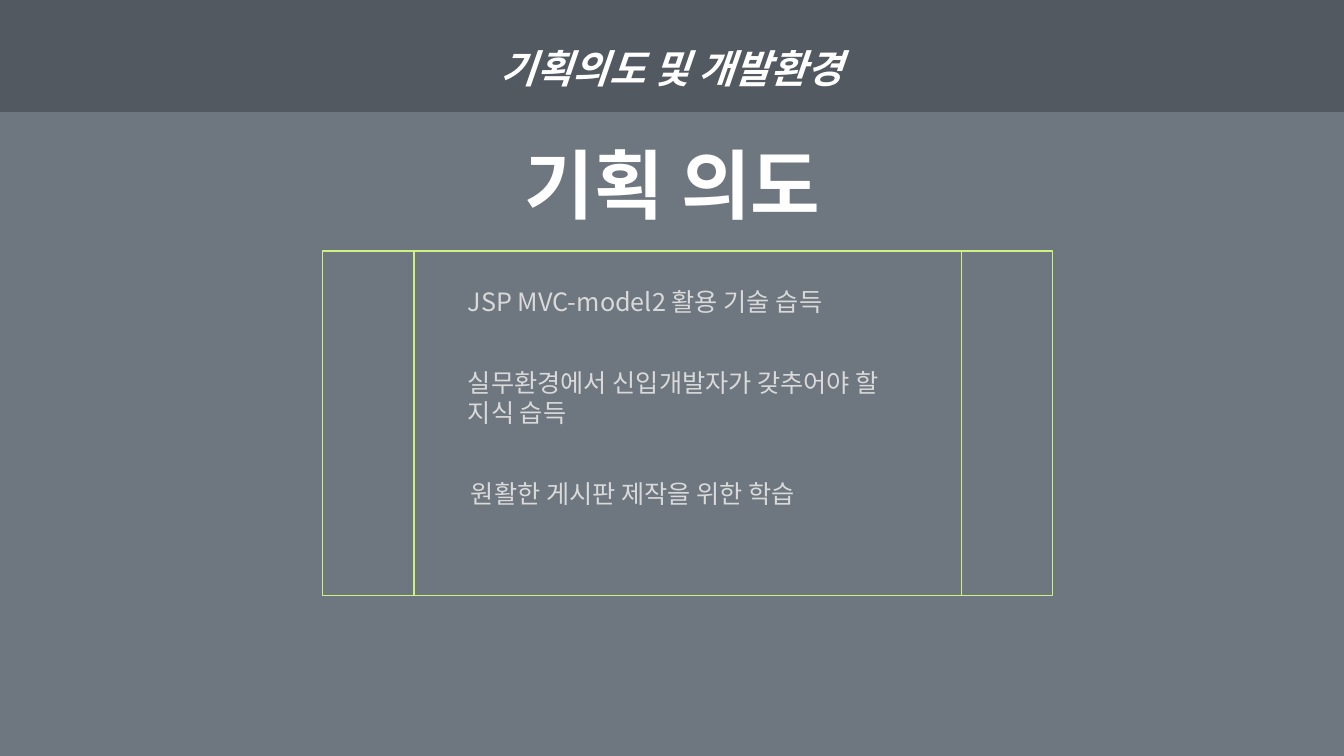
from pptx import Presentation
from pptx.dml.color import RGBColor
from pptx.enum.shapes import MSO_SHAPE
from pptx.enum.text import MSO_ANCHOR, MSO_AUTO_SIZE, PP_ALIGN
from pptx.oxml.ns import qn
from pptx.util import Inches, Pt
from lxml import etree

RECTANGLE = MSO_SHAPE.RECTANGLE
FRAME = MSO_SHAPE.FLOWCHART_PREDEFINED_PROCESS
TOP, MIDDLE = MSO_ANCHOR.TOP, MSO_ANCHOR.MIDDLE
LEFT, CENTER = PP_ALIGN.LEFT, PP_ALIGN.CENTER
NO_FIT = MSO_AUTO_SIZE.NONE

SLATE = RGBColor(0x6E, 0x76, 0x80)
DARK_SLATE = RGBColor(0x53, 0x59, 0x61)
WHITE = RGBColor(0xFF, 0xFF, 0xFF)
LIGHT_GRAY = RGBColor(0xD9, 0xD9, 0xD9)
LIME = RGBColor(0xCD, 0xF2, 0x82)
FONT = "Noto Sans CJK KR"

HEADER = "기획의도 및 개발환경"
HEADING = "기획 의도"
GOALS = [
    ("JSP MVC-model2 활용 기술 습득", 0),
    ("실무환경에서 신입개발자가 갖추어야 할 지식 습득", 0),
    ("원활한 게시판 제작을 위한 학습", 0.03),
]


def place(shape, left, top, width, height):
    shape.left, shape.top = Inches(left), Inches(top)
    shape.width, shape.height = Inches(width), Inches(height)


def style(para, size, color, align, bold=False, italic=False):
    font = para.font
    font.name, font.size = FONT, Pt(size)
    font.bold, font.italic = bold, italic
    font.color.rgb = color
    para.alignment = align
    for span in para.runs:
        span.font.name = FONT
        east_asian = etree.SubElement(span.font._element, qn("a:ea"))
        east_asian.set("typeface", FONT)


def set_frame(shape, anchor):
    frame = shape.text_frame
    frame.auto_size = NO_FIT
    frame.word_wrap = True
    frame.vertical_anchor = anchor
    return frame


def add_header(page):
    band = page.shapes.add_shape(RECTANGLE, 0, 0, Inches(13.33), Inches(1.11))
    band.shadow.inherit = False
    band.fill.solid()
    band.fill.fore_color.rgb = DARK_SLATE
    band.line.fill.background()
    frame = set_frame(band, MIDDLE)
    frame.text = HEADER
    para = frame.paragraphs[0]
    para.line_spacing = 1.5
    style(para, 28, WHITE, CENTER, bold=True, italic=True)


def add_heading(page):
    title = page.shapes.title
    place(title, 4.92, 1.31, 3.5, 1.01)
    frame = set_frame(title, MIDDLE)
    frame.text = HEADING
    style(frame.paragraphs[0], 54, WHITE, CENTER, bold=True)


def add_goals(page):
    body = page.placeholders[1]
    place(body, 4.54, 2.79, 4.57, 2.32)
    frame = set_frame(body, TOP)
    frame.text = "\n".join(text for text, indent in GOALS)
    for index, (para, (text, indent)) in enumerate(zip(frame.paragraphs, GOALS)):
        para.line_spacing = Pt(21.5)
        para.space_before = Pt(36.5 if index else 0)
        style(para, 18, LIGHT_GRAY, LEFT)
        properties = para._p.get_or_add_pPr()
        properties.set("marL", str(Inches(indent)))
        properties.set("indent", "0")
        bullet = etree.Element(qn("a:buNone"))
        properties.find(qn("a:defRPr")).addprevious(bullet)


def add_goal_frame(page):
    border = page.shapes.add_shape(
        FRAME, Inches(3.2), Inches(2.49), Inches(7.24), Inches(3.42))
    border.shadow.inherit = False
    border.fill.background()
    border.line.color.rgb = LIME
    border.line.width = Pt(1)


def main():
    deck = Presentation()
    deck.slide_width, deck.slide_height = Inches(13.33), Inches(7.5)
    page = deck.slides.add_slide(deck.slide_layouts[1])
    page.background.fill.solid()
    page.background.fill.fore_color.rgb = SLATE
    add_header(page)
    add_heading(page)
    add_goals(page)
    add_goal_frame(page)
    deck.save("out.pptx")


if __name__ == "__main__":
    main()
